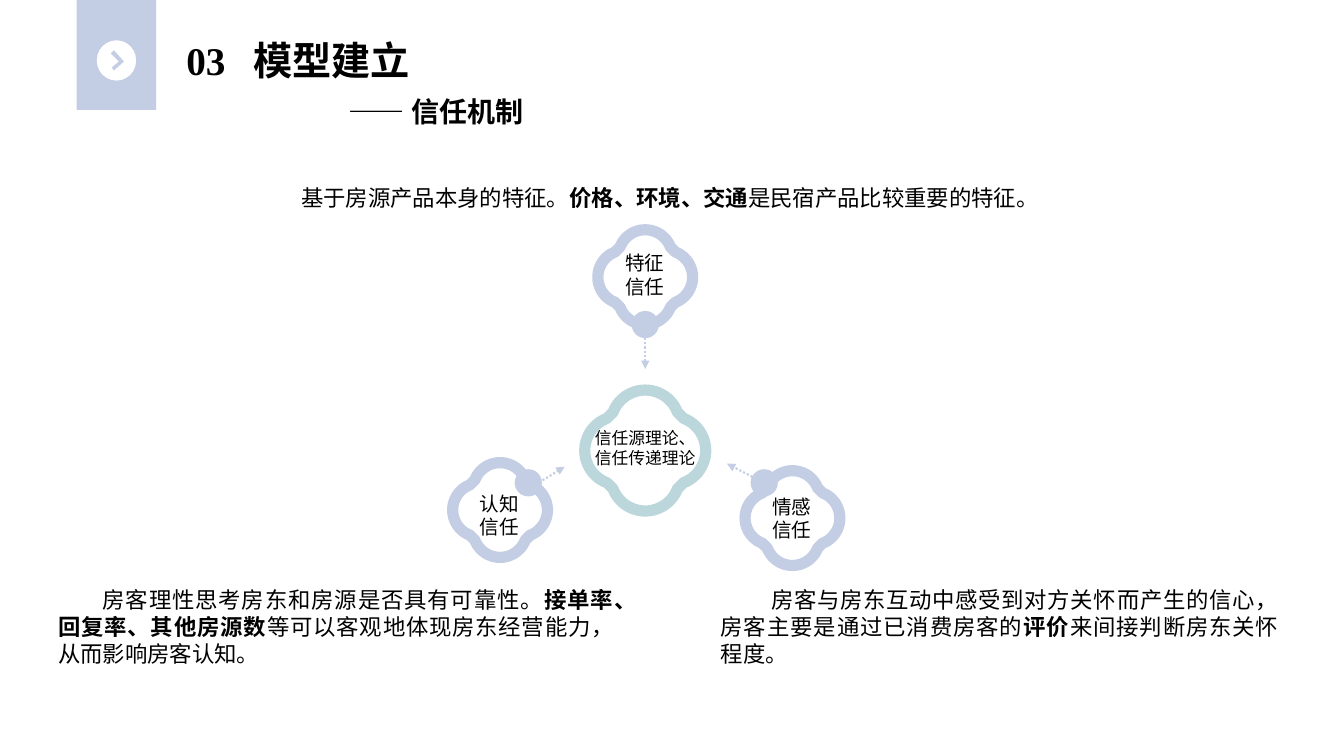
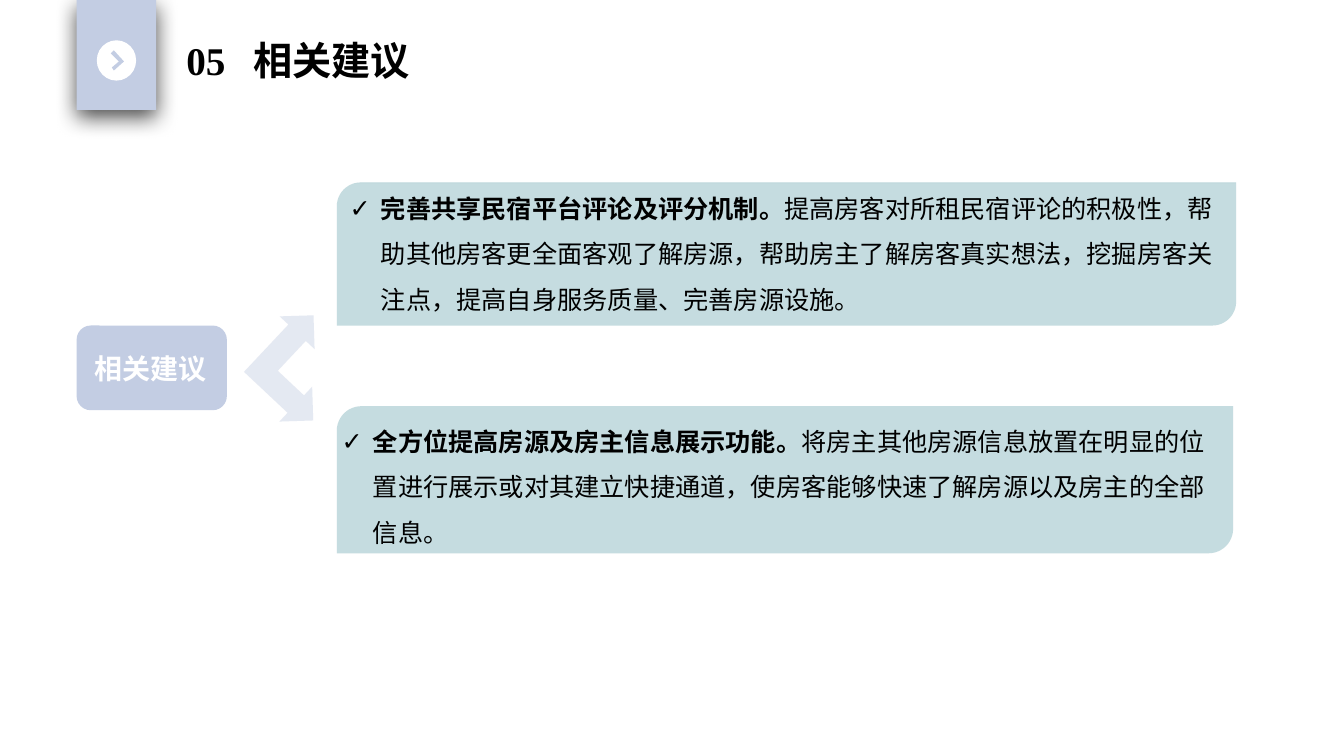
from math import cos, radians, sin
from lxml import etree
from pptx import Presentation
from pptx.dml.color import RGBColor
from pptx.enum.dml import MSO_LINE
from pptx.enum.shapes import MSO_CONNECTOR, MSO_SHAPE
from pptx.enum.text import PP_ALIGN
from pptx.oxml.ns import qn
from pptx.util import Inches, Pt

RECT, ROUND, DIAGONAL = MSO_SHAPE.RECTANGLE, MSO_SHAPE.ROUNDED_RECTANGLE, MSO_SHAPE.ROUND_2_DIAG_RECTANGLE
OVAL, FORK = MSO_SHAPE.OVAL, MSO_SHAPE.LEFT_UP_ARROW
STRAIGHT, DOTTED = MSO_CONNECTOR.STRAIGHT, MSO_LINE.ROUND_DOT
LEFT, CENTER, JUSTIFY = PP_ALIGN.LEFT, PP_ALIGN.CENTER, PP_ALIGN.JUSTIFY

LILAC, TEAL, WHITE, BLACK = "C3CDE3", "BCD7DB", "FFFFFF", "000000"
SERIF, SANS, CJK = "Times New Roman", "Arial", "Noto Sans CJK SC"
BADGE_SHADOW = dict(blurRad=Pt(16), dist=Pt(5), dir=90 * 60000, algn="ctr", rotWithShape=0)

CORE = dict(center=(6.4, 4.47), radius=0.6, lines=["信任源理论、", "信任传递理论"])
SOURCES = [
    dict(label="特征信任", label_top=2.44, center=(6.4, 2.75), dot=(6.4, 3.22),
         start=(6.4, 3.27), tip=(6.4, 3.66)),
    dict(label="认知信任", label_top=4.83, center=(4.96, 5.06), dot=(5.24, 4.79),
         start=(5.31, 4.81), tip=(5.6, 4.63)),
    dict(label="情感信任", label_top=4.86, center=(7.86, 5.14), dot=(7.58, 4.79),
         start=(7.5, 4.75), tip=(7.21, 4.6)),
]
EXPLANATIONS = [
    ((0.48, 5.77, 5.71, 0.91), 0.44, [
        ("房客理性思考房东和房源是否具有可靠性。", False),
        ("接单率、回复率、其他房源数", True),
        ("等可以客观地体现房东经营能力，从而影响房客认知。", False)]),
    ((7.05, 5.77, 5.73, 0.91), 0.5, [
        ("房客与房东互动中感受到对方关怀而产生的信心，房客主要是通过已消费房客的", False),
        ("评价", True),
        ("来间接判断房东关怀程度。", False)]),
    ((2.39, 1.78, 8.4, 0.37), 0.5, [
        ("基于房源产品本身的特征。", False),
        ("价格、环境、交通", True),
        ("是民宿产品比较重要的特征。", False)]),
]
CARDS = [(3.34, 4.03, 8.89, 1.46), (3.34, 1.81, 8.92, 1.42)]
ADVICE = [
    ((3.37, 1.72, 8.89, 1.46), [
        ("完善共享民宿平台评论及评分机制。", True),
        ("提高房客对所租民宿评论的积极性，帮助其他房客更全面客观了解房源，"
         "帮助房主了解房客真实想法，挖掘房客关注点，提高自身服务质量、完善房源设施。", False)]),
    ((3.29, 4.03, 8.78, 1.46), [
        ("全方位提高房源及房主信息展示功能。", True),
        ("将房主其他房源信息放置在明显的位置进行展示或对其建立快捷通道，"
         "使房客能够快速了解房源以及房主的全部信息。", False)]),
]


def rgb(color):
    return RGBColor.from_string(color)


def child(parent, tag, **attrs):
    return etree.SubElement(parent, qn(tag), {k: str(v) for k, v in attrs.items()})


def paint(sp, color, alpha=None):
    sp.shadow.inherit = False
    sp.line.fill.background()
    sp.fill.solid()
    sp.fill.fore_color.rgb = rgb(color)
    if alpha is not None:
        clr = sp._element.spPr.find(".//" + qn("a:srgbClr"))
        child(clr, "a:alpha", val=alpha * 1000)
    return sp


def add_shape(s, kind, box, color, alpha=None):
    return paint(s.shapes.add_shape(kind, *map(Inches, box)), color, alpha)


def add_outline(s, points):
    corners = [(Inches(x), Inches(y)) for x, y in points]
    fb = s.shapes.build_freeform(*corners[0])
    fb.add_line_segments(corners[1:], close=True)
    return fb.convert_to_shape()


def add_text(s, box, paragraphs, size, color=BLACK, name=SERIF, align=LEFT,
             margin=0, indent=0, spacing=None, bullet=None):
    tf = s.shapes.add_textbox(*map(Inches, box)).text_frame
    tf.word_wrap = True
    for i, runs in enumerate(paragraphs):
        p = tf.paragraphs[0] if i == 0 else tf.add_paragraph()
        add_runs(p, runs, dict(size=Pt(size), name=name), color)
        for key, value in dict(alignment=align, line_spacing=spacing).items():
            setattr(p, key, value)
        pPr = p._p.get_or_add_pPr()
        pPr.set("marL", str(Inches(margin)))
        pPr.set("indent", str(Inches(indent)))
        if bullet:
            child(pPr, "a:buFont", typeface=SANS)
            child(pPr, "a:buChar", char=bullet)
    return tf


def add_runs(p, runs, fmt, color):
    for text, bold in runs:
        r = p.add_run()
        r.text = text
        for key, value in dict(fmt, bold=bold).items():
            setattr(r.font, key, value)
        r.font.color.rgb = rgb(color)
        child(r._r.get_or_add_rPr(), "a:ea", typeface=CJK)


def add_header(s, number, title, subtitle=None, shadow=False):
    badge = add_shape(s, RECT, (0.76, 0, 0.79, 1.09), LILAC)
    if shadow:
        effects = badge._element.spPr.find(qn("a:effectLst"))
        outer = child(effects, "a:outerShdw", **BADGE_SHADOW)
        child(child(outer, "a:srgbClr", val=BLACK), "a:alpha", val=71000)
    add_shape(s, OVAL, (0.96, 0.4, 0.39, 0.4), WHITE)
    paint(add_outline(s, [(1.13, 0.5), (1.23, 0.61), (1.13, 0.7), (1.11, 0.67),
                          (1.18, 0.61), (1.1, 0.53)]), LILAC)
    tf = add_text(s, (1.75, 0.31, 4.03, 1.04 if subtitle else 0.57),
                  [[(number, True), (" ", True), (title, True)]], 28)
    gap = tf.paragraphs[0].runs[1]
    gap._r.get_or_add_rPr().set("spc", "1300")
    if subtitle:
        p = tf.add_paragraph()
        add_runs(p, [(subtitle, True)], dict(size=Pt(20), name=SERIF), BLACK)
        p.space_before = Pt(8)
        p._p.get_or_add_pPr().set("marL", str(Inches(1.61)))


def add_ring(s, center, radius, color):
    cx, cy = center
    offset, lobe = 0.43 * radius, 0.57 * radius
    points = []
    for side in range(0, 360, 90):
        lx, ly = cx + offset * cos(radians(side)), cy + offset * sin(radians(side))
        for step in range(-12, 13):
            a = radians(side + step * 5.75)
            points.append((lx + lobe * cos(a), ly + lobe * sin(a)))
    ring = add_outline(s, points)
    ring.shadow.inherit = False
    ring.fill.background()
    ring.line.color.rgb = rgb(color)
    ring.line.width = Pt(8)


def add_arrow(s, start, tip):
    arrow = s.shapes.add_connector(STRAIGHT, *map(Inches, start + tip))
    arrow.line.color.rgb = rgb(LILAC)
    arrow.line.width = Pt(1.5)
    arrow.line.dash_style = DOTTED
    child(arrow.line._get_or_add_ln(), "a:tailEnd", type="triangle")
    child(arrow._element.spPr, "a:effectLst")


def trust_slide(s):
    add_header(s, "03", "模型建立", "—— 信任机制")
    for source in SOURCES:
        cx, cy = source["center"]
        dx, dy = source["dot"]
        add_ring(s, (cx, cy), 0.47, LILAC)
        add_shape(s, OVAL, (dx - 0.135, dy - 0.135, 0.27, 0.27), LILAC)
        add_arrow(s, source["start"], source["tip"])
        add_text(s, (cx - 0.38, source["label_top"], 0.75, 0.61), [[(source["label"], False)]],
                 14, align=CENTER)
    cx, cy = CORE["center"]
    add_ring(s, (cx, cy), CORE["radius"], TEAL)
    add_text(s, (cx - 0.65, cy - 0.28, 1.3, 0.4), [[(line, False)] for line in CORE["lines"]],
             12, align=CENTER)
    for box, indent, runs in EXPLANATIONS:
        add_text(s, box, [runs], 16, align=JUSTIFY, indent=indent)


def advice_slide(s):
    for box in CARDS:
        add_shape(s, DIAGONAL, box, TEAL)
    add_shape(s, RECT, (3.34, 1.82, 8.92, 3.68), WHITE, alpha=15)
    add_header(s, "05", "相关建议", shadow=True)
    add_shape(s, ROUND, (0.76, 3.23, 1.49, 0.84), LILAC)
    add_text(s, (0.84, 3.44, 1.32, 0.44), [[("相关建议", True)]], 20, WHITE, SANS)
    for box, runs in ADVICE:
        add_text(s, box, [runs], 18, name=CJK, margin=0.31, indent=-0.31, spacing=1.5, bullet="✓")
    add_shape(s, FORK, (2.44, 3.18, 1, 0.95), LILAC, alpha=44).rotation = 133.2


def main():
    prs = Presentation()
    prs.slide_width, prs.slide_height = Inches(13.33), Inches(7.5)
    for build in (trust_slide, advice_slide):
        build(prs.slides.add_slide(prs.slide_layouts[6]))
    prs.save("out.pptx")


if __name__ == "__main__":
    main()
